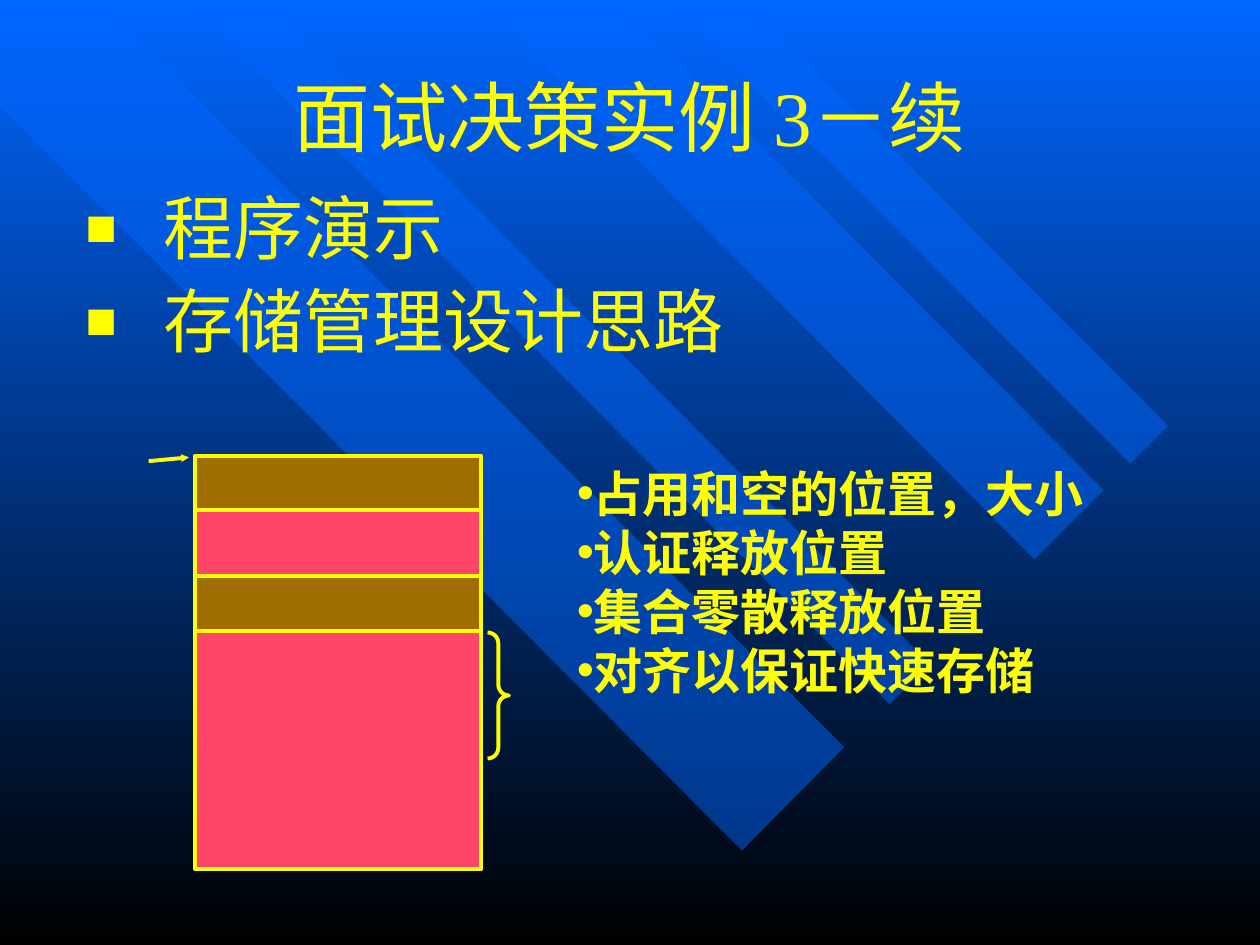
"""Build the memory-management interview slide."""
import lxml.etree
import pptx
import pptx.dml.color
import pptx.enum.shapes
import pptx.enum.text
import pptx.oxml.ns
import pptx.util

Inches = pptx.util.Inches
Pt = pptx.util.Pt
SHAPES = pptx.enum.shapes.MSO_SHAPE
ALIGN = pptx.enum.text.PP_ALIGN
ANCHOR = pptx.enum.text.MSO_ANCHOR
qn = pptx.oxml.ns.qn

THEME = {
    "sky": "0066FF", "night": "000000", "accent": "FFFF00",
    "used": "A06E00", "free": "FF4568", "band_alpha": 50, "line": 2.25,
    "title": {"size": Pt(44), "name": "Times New Roman", "bold": False},
    "body": {"size": Pt(40), "name": "Times New Roman", "bold": False},
    "notes": {"size": Pt(28), "name": "Arial", "bold": True},
}
BANDS = [
    [(6.7, 5.93), (0.79, 0), (0, 0), (0, 0.84), (5.89, 6.75)],
    [(2.14, 0), (7.38, 5.27), (7.06, 5.59), (1.49, 0)],
    [(4.89, 0), (8.76, 3.89), (8.21, 4.44), (3.8, 0)],
    [(5.3, 0), (8.97, 3.68), (9.27, 3.38), (5.91, 0)],
]
TEXTS = [
    {"style": "title", "at": (0.75, 0.25, 8.5, 1.33), "lines": ["面试决策实例 3－续"],
     "align": ALIGN.CENTER, "anchor": ANCHOR.MIDDLE},
    {"style": "body", "at": (0.58, 1.49, 9.13, 1.5), "lines": ["程序演示", "存储管理设计思路"],
     "bullet": "■", "bullet_size": 75, "indent": 0.62, "spacing": 0.9, "before": 10},
    {"style": "notes", "at": (4.48, 3.63, 5, 1.97), "bullet": "•",
     "lines": ["占用和空的位置，大小", "认证释放位置", "集合零散释放位置", "对齐以保证快速存储"]},
]
BLOCK_LEFT, BLOCK_TOP, BLOCK_WIDTH = 1.55, 3.62, 2.27
BLOCKS = [("used", 0.43), ("free", 0.52), ("used", 0.44), ("free", 1.89)]
BRACE = (3.87, 5.02, 0.17, 1)
POINTER = (1.18, 3.66, 1.5, 3.63)


def rgb(key):
    return pptx.dml.color.RGBColor.from_string(THEME[key])


def add_child(parent, tag, **values):
    child = lxml.etree.SubElement(parent, qn(tag))
    for name, value in values.items():
        child.set(name, str(value))
    return child


def outline(shape):
    shape.line.color.rgb = rgb("accent")
    shape.line.width = Pt(THEME["line"])


def paint_background(page):
    fill = page.background.fill
    fill.gradient()
    fill.gradient_angle = 270
    for stop, key, position in zip(fill.gradient_stops, ("sky", "night"), (0, 1)):
        stop.color.rgb = rgb(key)
        stop.position = position


def add_band(page, points):
    corners = [(Inches(x), Inches(y)) for x, y in points]
    builder = page.shapes.build_freeform(*corners[0])
    builder.add_line_segments(corners[1:], close=True)
    band = builder.convert_to_shape()
    band.shadow.inherit = False
    band.fill.solid()
    band.fill.fore_color.rgb = rgb("sky")
    band.line.fill.background()
    color = band.fill._xPr.find(qn("a:solidFill"))[0]
    add_child(color, "a:alpha", val=THEME["band_alpha"] * 1000)


def add_bullet(para, text):
    props = para._p.get_or_add_pPr()
    indent = Inches(text.get("indent", 0))
    props.set("marL", str(indent))
    props.set("indent", str(-indent))
    add_child(add_child(props, "a:buClr"), "a:srgbClr", val=THEME["accent"])
    add_child(props, "a:buSzPct", val=text.get("bullet_size", 100) * 1000)
    add_child(props, "a:buFont", typeface="Arial")
    add_child(props, "a:buChar", char=text["bullet"])


def add_text(page, text):
    frame = page.shapes.add_textbox(*map(Inches, text["at"])).text_frame
    frame.word_wrap = True
    frame.vertical_anchor = text.get("anchor", ANCHOR.TOP)
    for index, line in enumerate(text["lines"]):
        para = frame.paragraphs[0] if index == 0 else frame.add_paragraph()
        if "bullet" in text:
            add_bullet(para, text)
        layout = {"alignment": text.get("align", ALIGN.LEFT),
                  "line_spacing": text.get("spacing", 1.0),
                  "space_before": Pt(text.get("before", 0) if index else 0)}
        for name, value in layout.items():
            setattr(para, name, value)
        span = para.add_run()
        span.text = line
        for name, value in THEME[text["style"]].items():
            setattr(span.font, name, value)
        span.font.color.rgb = rgb("accent")


def add_blocks(page):
    top = BLOCK_TOP
    for kind, height in BLOCKS:
        box = page.shapes.add_shape(
            SHAPES.RECTANGLE, *map(Inches, (BLOCK_LEFT, top, BLOCK_WIDTH, height)))
        box.shadow.inherit = False
        box.fill.solid()
        box.fill.fore_color.rgb = rgb(kind)
        outline(box)
        top += height


def add_marks(page):
    brace = page.shapes.add_shape(SHAPES.RIGHT_BRACE, *map(Inches, BRACE))
    brace.adjustments[0] = 0.5
    brace.shadow.inherit = False
    brace.fill.background()
    outline(brace)
    pointer = page.shapes.add_connector(
        pptx.enum.shapes.MSO_CONNECTOR.STRAIGHT, *map(Inches, POINTER))
    outline(pointer)
    add_child(pointer.line._get_or_add_ln(), "a:tailEnd", type="triangle", w="sm", len="sm")
    add_child(pointer._element.spPr, "a:effectLst")


def main():
    deck = pptx.Presentation()
    deck.slide_width, deck.slide_height = Inches(10), Inches(7.5)
    page = deck.slides.add_slide(deck.slide_layouts[6])
    paint_background(page)
    for points in BANDS:
        add_band(page, points)
    add_blocks(page)
    add_marks(page)
    for text in TEXTS:
        add_text(page, text)
    deck.save("out.pptx")


if __name__ == "__main__":
    main()
